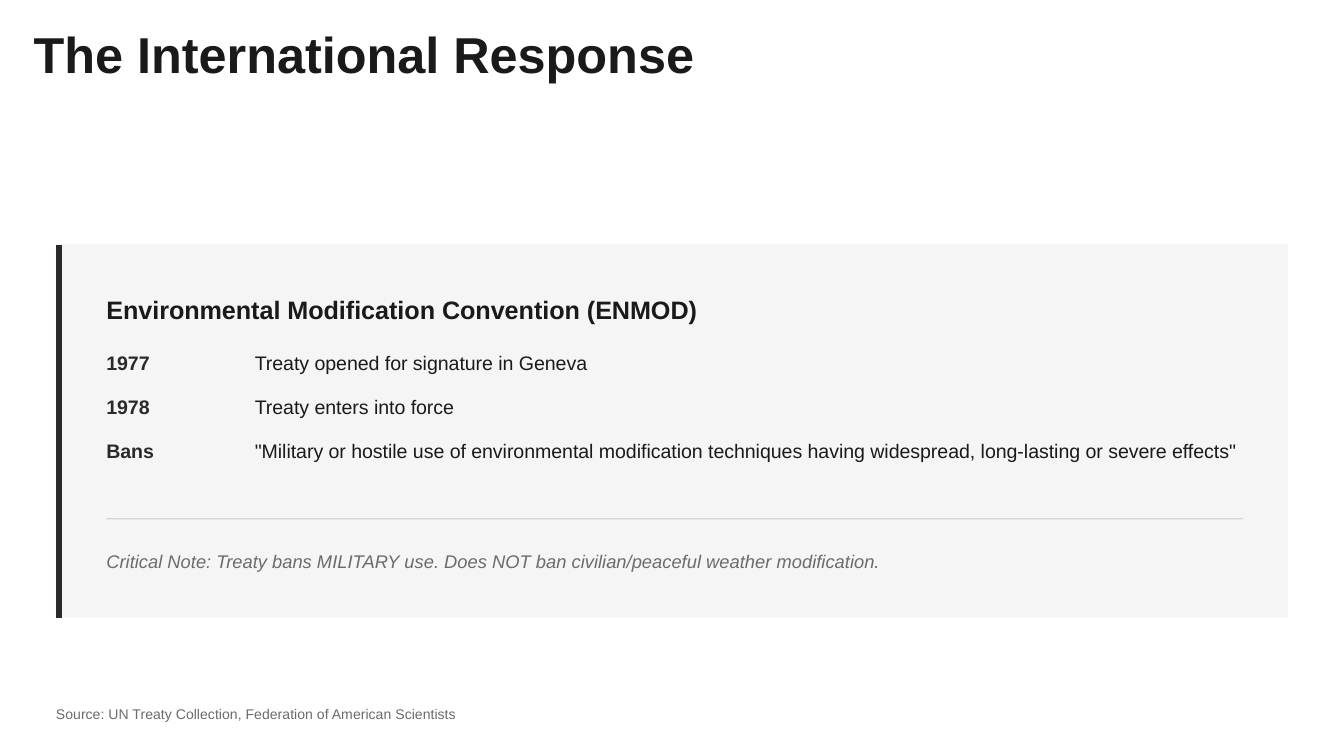
"""Build the slide on the international response to weather modification."""
from dataclasses import dataclass

from lxml import etree
from pptx import Presentation
from pptx.dml.color import RGBColor
from pptx.enum.shapes import MSO_CONNECTOR, MSO_SHAPE
from pptx.enum.text import MSO_ANCHOR, MSO_AUTO_SIZE, PP_ALIGN
from pptx.oxml.ns import qn
from pptx.util import Pt

RECTANGLE = MSO_SHAPE.RECTANGLE
STRAIGHT = MSO_CONNECTOR.STRAIGHT
TOP = MSO_ANCHOR.TOP
LEFT = PP_ALIGN.LEFT
NO_AUTOFIT = MSO_AUTO_SIZE.NONE


@dataclass(frozen=True)
class Theme:
    font: str = "Arial"
    ink: str = "1A1A1A"
    accent: str = "2A2A2A"
    muted: str = "6B6B6B"
    rule: str = "D4D4D4"
    panel: str = "F5F5F5"
    title_size: float = 27
    heading_size: float = 13.5
    body_size: float = 10.5
    note_size: float = 9.8
    source_size: float = 7.5


@dataclass(frozen=True)
class Box:
    left: float
    top: float
    width: float
    height: float


@dataclass(frozen=True)
class Style:
    size: float
    spacing: float
    color: str
    bold: bool = False
    italic: bool = False
    inset: float = 0


@dataclass(frozen=True)
class Fact:
    label: str
    detail: str


THEME = Theme()
TITLE = Style(THEME.title_size, 27, THEME.ink, bold=True, inset=3)
HEADING = Style(THEME.heading_size, 18.9, THEME.ink, bold=True)
LABEL = Style(THEME.body_size, 14.7, THEME.accent, bold=True)
DETAIL = Style(THEME.body_size, 14.7, THEME.ink, inset=3)
NOTE = Style(THEME.note_size, 13.7, THEME.muted, italic=True)
SOURCE = Style(THEME.source_size, 10.5, THEME.muted)

PANEL = Box(30, 131, 660, 200)
ACCENT_WIDTH = 3
CONTENT_LEFT = 57
CONTENT_WIDTH = 621
DETAIL_LEFT = 133.5
FACTS_TOP = 185.7
FACT_PITCH = 23.7
FACTS = [
    Fact("1977", "Treaty opened for signature in Geneva"),
    Fact("1978", "Treaty enters into force"),
    Fact("Bans", '"Military or hostile use of environmental modification techniques '
                 'having widespread, long-lasting or severe effects"'),
]


def write(sp, text: str, style: Style) -> None:
    """Put one styled paragraph into a shape."""
    tf = sp.text_frame
    tf.word_wrap = True
    tf.auto_size = NO_AUTOFIT
    tf.vertical_anchor = TOP
    tf.margin_left = tf.margin_right = Pt(style.inset)
    tf.margin_top = tf.margin_bottom = 0
    p = tf.paragraphs[0]
    p.text = text
    p.alignment = LEFT
    p.line_spacing = Pt(style.spacing)
    p.space_before = p.space_after = Pt(0)
    p.font.name = THEME.font
    p.font.size = Pt(style.size)
    p.font.bold = style.bold
    p.font.italic = style.italic
    p.font.color.rgb = RGBColor.from_string(style.color)


def add_title(s, text: str, box: Box) -> None:
    """Place and format the title placeholder."""
    sp = s.shapes.title
    sp.left, sp.top = Pt(box.left), Pt(box.top)
    sp.width, sp.height = Pt(box.width), Pt(box.height)
    write(sp, text, TITLE)


def add_text(s, text: str, box: Box, style: Style) -> None:
    """Add a text box."""
    sp = s.shapes.add_textbox(Pt(box.left), Pt(box.top), Pt(box.width), Pt(box.height))
    write(sp, text, style)


def add_rectangle(s, box: Box, color: str) -> None:
    """Add a plain filled rectangle."""
    sp = s.shapes.add_shape(
        RECTANGLE, Pt(box.left), Pt(box.top), Pt(box.width), Pt(box.height))
    sp.shadow.inherit = False
    sp.fill.solid()
    sp.fill.fore_color.rgb = RGBColor.from_string(color)
    sp.line.fill.background()


def add_accent(s, panel: Box) -> None:
    """Draw the dark line down the left edge of the panel."""
    x = Pt(panel.left + ACCENT_WIDTH / 2)
    line = s.shapes.add_connector(
        STRAIGHT, x, Pt(panel.top), x, Pt(panel.top + panel.height))
    line.line.width = Pt(ACCENT_WIDTH)
    line.line.color.rgb = RGBColor.from_string(THEME.accent)
    etree.SubElement(line._element.spPr, qn("a:effectLst"))


def add_fact(s, fact: Fact, top: float) -> None:
    """Add one row with a label and its detail."""
    add_text(s, fact.label, Box(CONTENT_LEFT, top, 69, 14.7), LABEL)
    add_text(s, fact.detail, Box(DETAIL_LEFT, top, 543, 14.7), DETAIL)


def main() -> None:
    """Build and save the slide."""
    prs = Presentation()
    prs.slide_width, prs.slide_height = Pt(720), Pt(405)
    s = prs.slides.add_slide(prs.slide_layouts.get_by_name("Title Only"))
    add_title(s, "The International Response", Box(15, 18, 368, 27))
    add_rectangle(s, PANEL, THEME.panel)
    add_accent(s, PANEL)
    add_text(s, "Environmental Modification Convention (ENMOD)",
             Box(CONTENT_LEFT, 155, CONTENT_WIDTH, 18.9), HEADING)
    for i, fact in enumerate(FACTS):
        add_fact(s, fact, FACTS_TOP + i * FACT_PITCH)
    add_rectangle(s, Box(CONTENT_LEFT, 277.6, 609, 0.75), THEME.rule)
    add_text(s, "Critical Note: Treaty bans MILITARY use. "
                "Does NOT ban civilian/peaceful weather modification.",
             Box(CONTENT_LEFT, 293, CONTENT_WIDTH, 13.7), NOTE)
    add_text(s, "Source: UN Treaty Collection, Federation of American Scientists",
             Box(PANEL.left, 376.5, 673, 10.5), SOURCE)
    prs.save("out.pptx")


if __name__ == "__main__":
    main()
